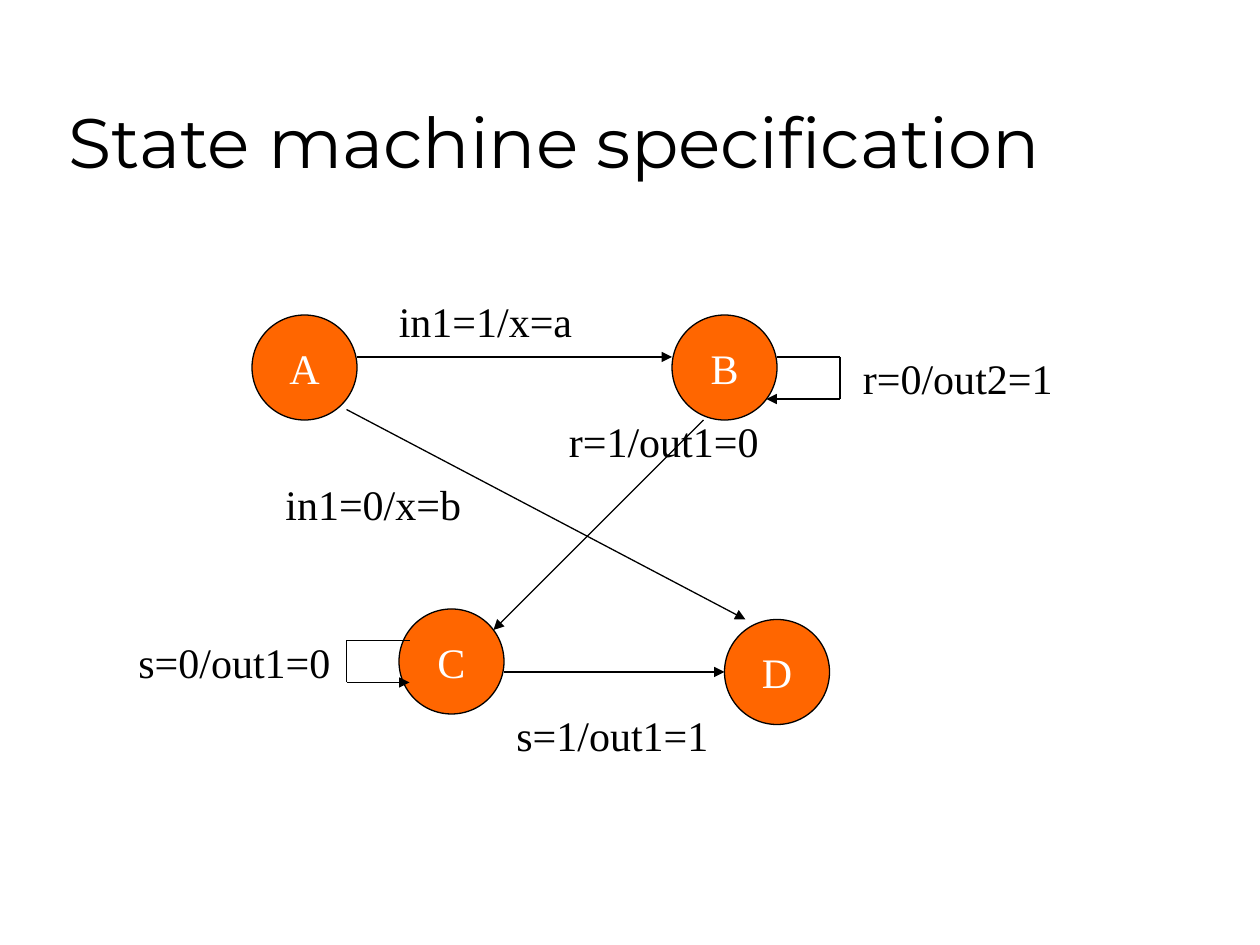
from itertools import pairwise
from pptx import Presentation
from pptx.dml.color import RGBColor
from pptx.enum.shapes import MSO_CONNECTOR, MSO_SHAPE
from pptx.enum.text import MSO_ANCHOR, MSO_AUTO_SIZE, PP_ALIGN
from pptx.oxml.ns import qn
from pptx.util import Inches, Pt
from lxml.etree import SubElement

COLORS = {"state": "FF6600", "ink": "000000", "name": "FFFFFF"}
CELL = Inches(1) / 12


def grid(*cells):
    return [round(c * CELL) for c in cells]


def write(tf, text, size, font, color, align):
    p = tf.paragraphs[0]
    p.alignment = align
    r = p.add_run()
    r.text = text
    r.font.size = Pt(size)
    r.font.name = font
    r.font.color.rgb = RGBColor.from_string(COLORS[color])


prs = Presentation()
prs.slide_width, prs.slide_height = grid(120, 90)
s = prs.slides.add_slide(prs.slide_layouts[5])

title = s.shapes.title
title.left, title.top, title.width, title.height = grid(5.3, 3, 102, 15)
title.text_frame.vertical_anchor = MSO_ANCHOR.BOTTOM
title.text_frame.auto_size = MSO_AUTO_SIZE.NONE
write(title.text_frame, "State machine specification", 40, "Montserrat", "ink", PP_ALIGN.LEFT)

states = {"A": (24, 30), "B": (64, 30), "C": (38, 58), "D": (69, 59)}
for name, (col, row) in states.items():
    sp = s.shapes.add_shape(MSO_SHAPE.OVAL, *grid(col, row, 10, 10))
    sp.shadow.inherit = False
    sp.fill.solid()
    sp.fill.fore_color.rgb = RGBColor.from_string(COLORS["state"])
    sp.line.color.rgb = RGBColor.from_string(COLORS["ink"])
    sp.line.width = Pt(0.75)
    tf = sp.text_frame
    tf.word_wrap = False
    tf.vertical_anchor = MSO_ANCHOR.MIDDLE
    write(tf, name, 24, "Times New Roman", "name", PP_ALIGN.CENTER)

transitions = [
    [(34, 34), (64, 34)],
    [(67, 40), (47, 60)],
    [(48, 64), (69, 64)],
    [(33, 39), (71, 59)],
    [(74, 34), (80, 34), (80, 38), (73, 38)],
    [(39, 61), (33, 61), (33, 65), (39, 65)],
]
for points in transitions:
    for start, end in pairwise(points):
        line = s.shapes.add_connector(MSO_CONNECTOR.STRAIGHT, *grid(*start, *end))
        line.line.color.rgb = RGBColor.from_string(COLORS["ink"])
        line.line.width = Pt(0.75)
        if end == points[-1]:
            SubElement(line.line._get_or_add_ln(), qn("a:tailEnd"), type="triangle")
        SubElement(line._element.spPr, qn("a:effectLst"))

labels = [
    ("in1=1/x=a", 36.8, 27.6),
    ("in1=0/x=b", 26, 45),
    ("r=0/out2=1", 81, 33),
    ("r=1/out1=0", 53, 39),
    ("s=1/out1=1", 48, 67),
    ("s=0/out1=0", 12, 60),
]
for text, col, row in labels:
    tf = s.shapes.add_textbox(*grid(col, row, 21.5, 6)).text_frame
    tf.word_wrap = True
    write(tf, text, 24, "Times New Roman", "ink", PP_ALIGN.LEFT)

prs.save("out.pptx")
